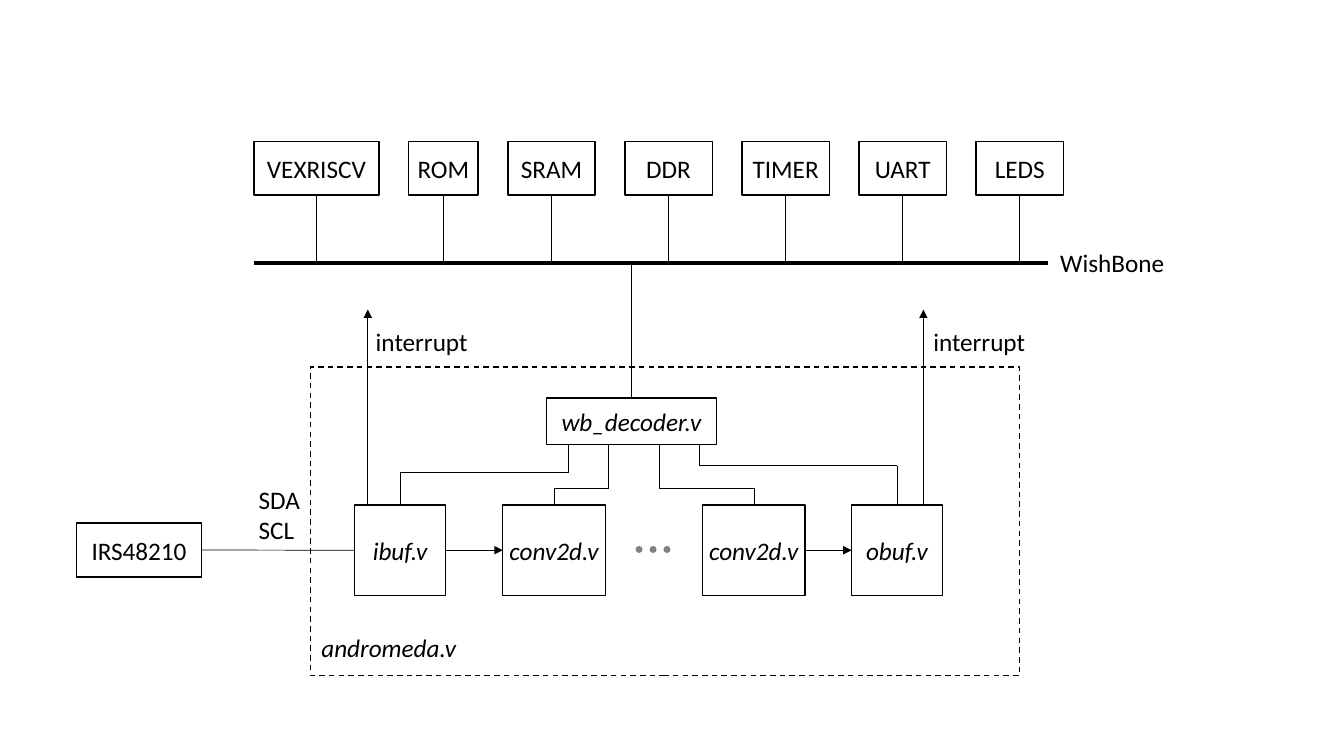
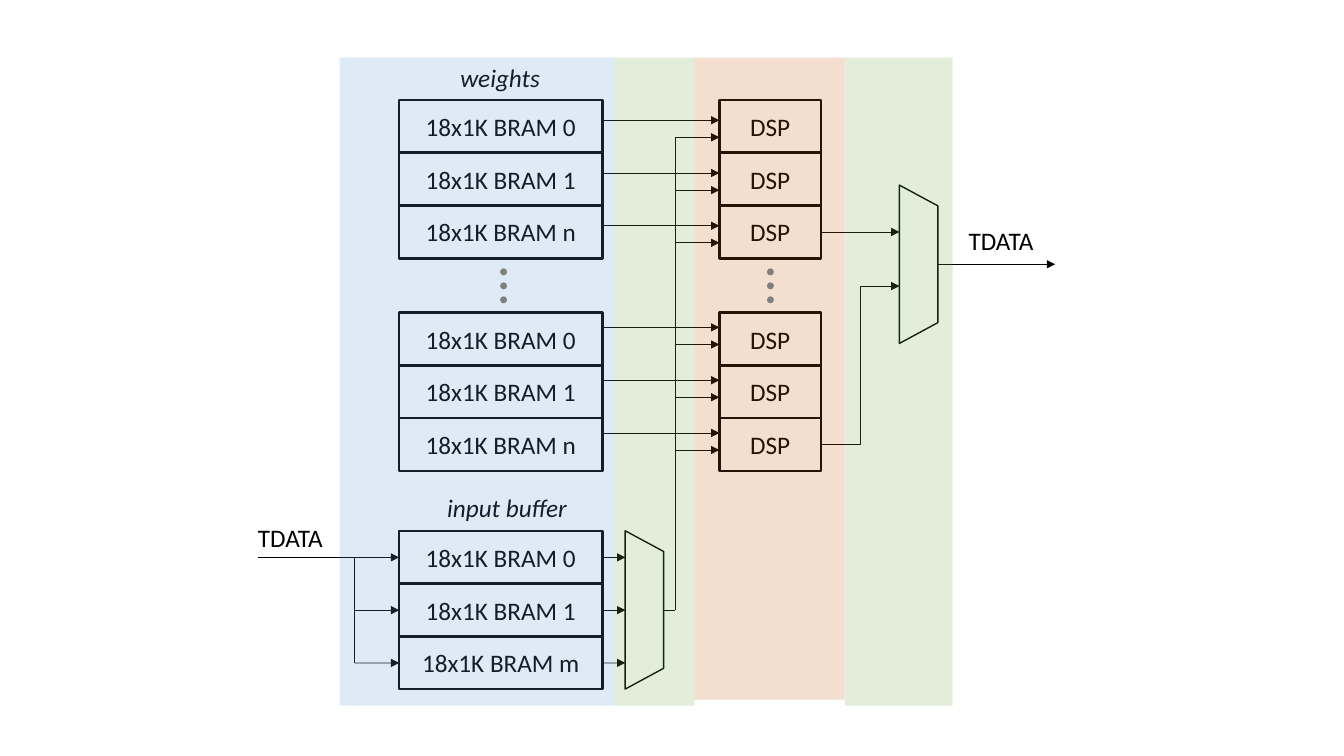
"""Build two block diagrams: the system bus and the convolution datapath."""
from itertools import pairwise

from lxml import etree
from pptx import Presentation
from pptx.dml.color import RGBColor
from pptx.enum import dml, shapes, text
from pptx.oxml import ns
from pptx.util import Cm, Pt

TOP, LEFT, BOTTOM, RIGHT = range(4)
BLACK, GREY = "000000", "808080"
BLUE, GREEN, ORANGE = "5B9BD5", "70AD47", "C55A11"
THIN, NORMAL, MEDIUM, THICK, DOT = 0.5, 1, 1.75, 3, 5


def color(value):
    """Turn a hex string into a colour."""
    return RGBColor.from_string(value)


def middle(shape, side):
    """Return the middle of a rectangle's side in centimetres."""
    across, down = {TOP: (0.5, 0), LEFT: (0, 0.5), BOTTOM: (0.5, 1), RIGHT: (1, 0.5)}[side]
    return (shape.left.cm + across * shape.width.cm,
            shape.top.cm + down * shape.height.cm)


class Diagram:
    """Hold the drawing style and the current slide."""

    font, size = "Calibri", 18

    def __init__(self):
        """Start an empty widescreen presentation."""
        self.presentation = Presentation()
        self.presentation.slide_width = Cm(33.87)
        self.presentation.slide_height = Cm(19.05)
        self.slide = None

    def new_slide(self):
        """Add a blank slide and make it current."""
        self.slide = self.presentation.slides.add_slide(self.presentation.slide_layouts[6])

    def fill_text(self, frame, lines, italic, alignment):
        """Fill a text frame with one run per paragraph."""
        frame.word_wrap = False
        for index, line in enumerate(lines):
            paragraph = frame.add_paragraph() if index else frame.paragraphs[0]
            paragraph.alignment = alignment
            run = paragraph.add_run()
            run.text = line
            run.font.name, run.font.size = self.font, Pt(self.size)
            run.font.italic = italic
            run.font.color.rgb = color(BLACK)

    def outline(self, kind, left, top, width, height, weight=NORMAL):
        """Add an unfilled preset shape with a black outline."""
        shape = self.slide.shapes.add_shape(kind, Cm(left), Cm(top), Cm(width), Cm(height))
        shape.shadow.inherit = False
        shape.fill.background()
        shape.line.color.rgb = color(BLACK)
        shape.line.width = Pt(weight)
        return shape

    def box(self, left, top, width, height, label, italic=False, weight=NORMAL):
        """Add a labelled rectangle."""
        shape = self.outline(shapes.MSO_SHAPE.RECTANGLE, left, top, width, height, weight)
        shape.text_frame.vertical_anchor = text.MSO_ANCHOR.MIDDLE
        self.fill_text(shape.text_frame, [label], italic, text.PP_ALIGN.CENTER)
        return shape

    def frame(self, left, top, width, height):
        """Add a dashed enclosing rectangle."""
        shape = self.outline(shapes.MSO_SHAPE.RECTANGLE, left, top, width, height)
        shape.line.dash_style = dml.MSO_LINE.DASH

    def multiplexer(self, center_x, center_y, length=3.99, depth=0.97):
        """Add a trapezoid turned to face right."""
        shape = self.outline(shapes.MSO_SHAPE.TRAPEZOID, center_x - length / 2,
                             center_y - depth / 2, length, depth)
        shape.adjustments[0] = 0.54
        shape.rotation = 90

    def band(self, left, top, width, height, fill, opacity=20):
        """Add a translucent band without an outline."""
        shape = self.outline(shapes.MSO_SHAPE.RECTANGLE, left, top, width, height)
        shape.line.fill.background()
        shape.fill.solid()
        shape.fill.fore_color.rgb = color(fill)
        solid = shape.element.spPr.find(ns.qn("a:solidFill"))
        etree.SubElement(solid[0], ns.qn("a:alpha"), val=str(opacity * 1000))

    def label(self, left, top, width, *lines, height=1.02, italic=False):
        """Add free-standing text."""
        shape = self.slide.shapes.add_textbox(Cm(left), Cm(top), Cm(width), Cm(height))
        self.fill_text(shape.text_frame, lines, italic, text.PP_ALIGN.LEFT)
        shape.text_frame.auto_size = text.MSO_AUTO_SIZE.SHAPE_TO_FIT_TEXT

    def line(self, start, end, arrow=False, weight=THIN, stroke=BLACK, elbow=False):
        """Add a connector between points or (shape, side) joints."""
        joints = [None if isinstance(place[0], (int, float)) else place
                  for place in (start, end)]
        points = [middle(*joint) if joint else place
                  for joint, place in zip(joints, (start, end))]
        kind = shapes.MSO_CONNECTOR.ELBOW if elbow else shapes.MSO_CONNECTOR.STRAIGHT
        connector = self.slide.shapes.add_connector(
            kind, *(Cm(value) for point in points for value in point))
        if joints[0]:
            connector.begin_connect(*joints[0])
        if joints[1]:
            connector.end_connect(*joints[1])
        connector.line.color.rgb = color(stroke)
        connector.line.width = Pt(weight)
        properties = connector.element.spPr
        if arrow:
            etree.SubElement(properties.find(ns.qn("a:ln")), ns.qn("a:tailEnd"), type="triangle")
        etree.SubElement(properties, ns.qn("a:effectLst"))
        return connector

    def wire(self, *points):
        """Add straight connectors through a chain of points."""
        for start, end in pairwise(points):
            self.line(start, end)

    def dots(self, start, end):
        """Add a row of round grey dots."""
        connector = self.line(start, end, weight=DOT, stroke=GREY)
        connector.line.dash_style = dml.MSO_LINE.ROUND_DOT
        connector.element.spPr.find(ns.qn("a:ln")).set("cap", "rnd")

    def stack(self, left, top, width, height, labels):
        """Add touching boxes from top to bottom."""
        return [self.box(left, top + row * height, width, height, name, weight=MEDIUM)
                for row, name in enumerate(labels)]


def draw_system(diagram):
    """Draw the bus, its peripherals and the accelerator."""
    diagram.new_slide()
    bus_y, left, gap = 6.63, 6.4, 0.75
    diagram.line((left, bus_y), (26.42, bus_y), weight=THICK)
    diagram.label(26.47, 6.12, 3.18, "WishBone")
    peripherals = [("VEXRISCV", 3.15), ("ROM", 1.75)]
    peripherals += [(name, 2.2) for name in ("SRAM", "DDR", "TIMER", "UART", "LEDS")]
    for name, width in peripherals:
        peripheral = diagram.box(left, 3.56, width, 1.36, name)
        diagram.line((peripheral, BOTTOM), (middle(peripheral, BOTTOM)[0], bus_y))
        left += width + gap

    diagram.frame(7.82, 9.25, 17.88, 7.77)
    diagram.label(7.85, 15.82, 3.94, "andromeda.v", italic=True)
    decoder = diagram.box(13.77, 10.03, 4.29, 1.17, "wb_decoder.v", italic=True)
    diagram.line((decoder, TOP), (middle(decoder, TOP)[0], bus_y))

    stage_top, decoder_bottom = 12.73, 11.2
    input_buffer, first, last, output_buffer = [
        diagram.box(x, stage_top, width, 2.27, name, italic=True)
        for x, width, name in ((8.94, 2.29, "ibuf.v"), (12.67, 2.59, "conv2d.v"),
                               (17.7, 2.59, "conv2d.v"), (21.46, 2.29, "obuf.v"))]
    diagram.line((input_buffer, RIGHT), (first, LEFT), arrow=True)
    diagram.line((last, RIGHT), (output_buffer, LEFT), arrow=True)
    diagram.dots((16.81, 13.84), (16.05, 13.84))
    for start_x, level, end_x in ((14.33, 11.91, 10.08), (15.34, 12.3, 13.97),
                                  (16.61, 12.3, 19), (17.63, 11.73, 22.61)):
        diagram.wire((start_x, decoder_bottom), (start_x, level),
                     (end_x, level), (end_x, stage_top))
    for x, label_x in ((9.27, 9.22), (23.27, 23.27)):
        diagram.line((x, stage_top), (x, 7.8), arrow=True)
        diagram.label(label_x, 8.1, 2.84, "interrupt")

    sensor = diagram.box(1.93, 13.18, 3.15, 1.36, "IRS48210")
    diagram.line((input_buffer, LEFT), (sensor, RIGHT))
    diagram.label(6.27, 12.07, 1.57, "SDA", "SCL", height=1.8)


def draw_datapath(diagram):
    """Draw the memories, the multipliers and their multiplexers."""
    diagram.new_slide()
    row_height = 1.33
    memory_x, memory_width, memory_right = 10.06, 5.12, 15.18
    dsp_x, dsp_width = 18.13, 2.56
    trunk_x, input_mux_y = 17.02, 15.37
    output_mux_left, output_mux_y = 22.67, 6.66

    def memories(top, last):
        """Add a stack of three memories."""
        names = [f"18x1K BRAM {index}" for index in ("0", "1", last)]
        return diagram.stack(memory_x, top, memory_width, row_height, names)

    last_dsps = []
    for top, offset in ((2.52, 0.51), (7.88, 0.37)):
        memories(top, "n")
        dsps = diagram.stack(dsp_x, top, dsp_width, row_height, ["DSP"] * 3)
        last_dsps.append(dsps[-1])
        for row in range(3):
            weight_y = top + row * row_height + offset
            for start_x, y in ((memory_right, weight_y), (trunk_x, weight_y + 0.43)):
                diagram.line((start_x, y), (dsp_x, y), arrow=True)
    diagram.label(11.35, 1.45, 2.54, "weights", italic=True)

    inputs = memories(13.38, "m")
    diagram.label(11.02, 12.29, 3.58, "input buffer", italic=True)
    diagram.multiplexer(16.24, input_mux_y)
    for memory in inputs:
        diagram.line((memory, RIGHT), (15.76, middle(memory, RIGHT)[1]), arrow=True)
    diagram.wire((trunk_x, 3.46), (trunk_x, input_mux_y), (16.72, input_mux_y))

    branch_x = 8.94
    for start_x, memory in zip((6.5, branch_x, branch_x), inputs):
        diagram.line((start_x, middle(memory, LEFT)[1]), (memory, LEFT), arrow=True)
    diagram.line(*((branch_x, middle(memory, LEFT)[1]) for memory in (inputs[0], inputs[-1])))
    diagram.label(6.25, 13.03, 2.16, "TDATA")

    upper, lower = last_dsps
    diagram.line((upper, RIGHT), (output_mux_left, middle(upper, RIGHT)[1]), arrow=True)
    diagram.line(middle(lower, RIGHT), (output_mux_left, 7.21), arrow=True, elbow=True)
    diagram.multiplexer(23.15, output_mux_y)
    diagram.line((23.64, output_mux_y), (26.59, output_mux_y), arrow=True)
    diagram.label(24.16, 5.56, 2.16, "TDATA")

    left = 8.56
    for width, height, fill in ((6.9, 16.33, BLUE), (2.04, 16.33, GREEN),
                                (3.79, 16.18, ORANGE), (2.72, 16.33, GREEN)):
        diagram.band(left, 1.45, width, height, fill)
        left += width
    for x in (12.7, 19.41):
        diagram.dots((x, 6.85), (x, 7.88))


def main():
    """Draw both slides and save them."""
    diagram = Diagram()
    draw_system(diagram)
    draw_datapath(diagram)
    diagram.presentation.save("out.pptx")


if __name__ == "__main__":
    main()
